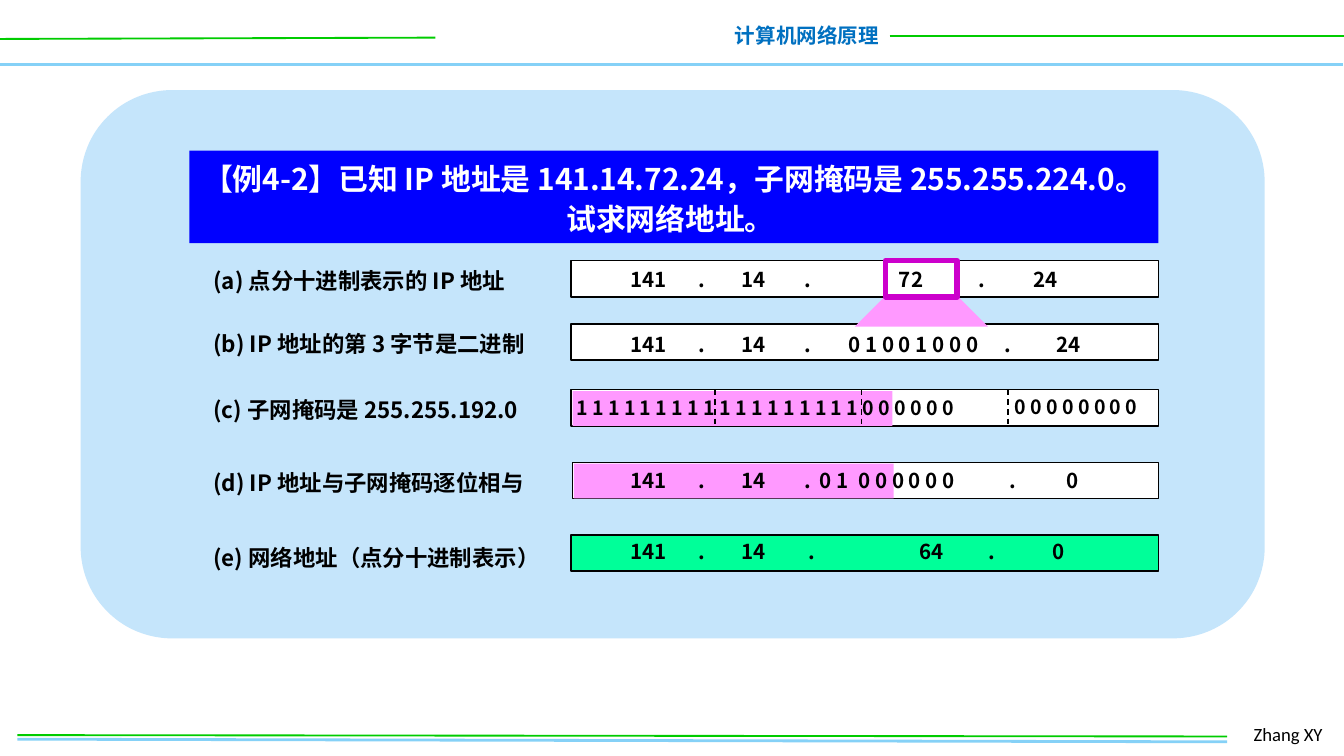
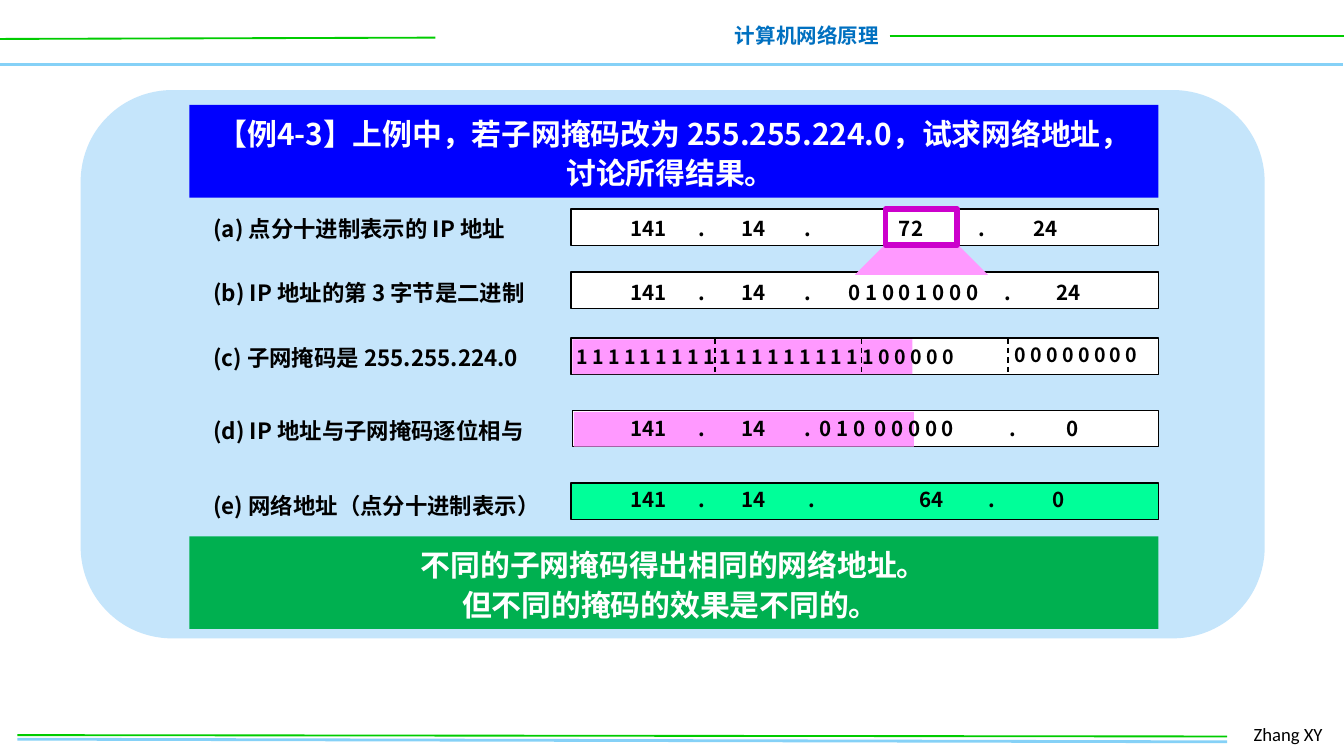
from dataclasses import dataclass
from typing import NamedTuple

from lxml.etree import SubElement
from pptx import Presentation
from pptx.dml.color import RGBColor
from pptx.enum.dml import MSO_LINE_DASH_STYLE as Dash
from pptx.enum.shapes import MSO_CONNECTOR as Conn, MSO_SHAPE as Shape
from pptx.enum.text import MSO_ANCHOR as Anchor, PP_ALIGN as Align
from pptx.oxml.ns import qn
from pptx.util import Inches, Pt

# Grid: 100 columns by 56.25 rows of square cells
CELL = Inches(0.1)
COLS, ROWS = 100, 56.25


def cell(n: float) -> int:
    return round(n * CELL)


@dataclass(frozen=True)
class Theme:
    sans: str = "Noto Sans CJK SC"
    latin: str = "Calibri"
    black: str = "000000"
    white: str = "FFFFFF"
    sky: str = "85D1F7"
    green: str = "00CC00"
    title: str = "0070C0"
    panel: str = "C5E5FB"
    question: str = "0000FF"
    answer: str = "00B050"
    pink: str = "FF99FF"
    mint: str = "00FF99"
    frame: str = "CC00CC"
    banner_size: float = 16
    label_size: float = 12
    body_size: float = 11
    bit_size: float = 10.5
    footer_size: float = 10
    hairline: float = 0.75


T = Theme()


class Box(NamedTuple):
    x: float
    y: float
    w: float
    h: float


class Rule(NamedTuple):
    x1: float
    y1: float
    x2: float
    y2: float
    color: str
    width: float


class Row(NamedTuple):
    """One row of the worked example; y counts from the top of row (a)."""
    bar: Box
    fill: str
    label: str
    label_y: float
    label_w: float


class Field(NamedTuple):
    """Text in a row, with tab stops counted from its left edge."""
    x: float
    y: float
    w: float
    text: str
    tabs: tuple[float, ...] = ()
    size: float = T.body_size


@dataclass(frozen=True)
class Example:
    question: str
    question_y: float
    top: float            # top of row (a)
    mask: str
    mask_label_w: float
    mask_bits: str
    shade_w: float        # width of the network part
    masked: str
    masked_tab: float
    conclusion: tuple[str, ...] = ()


RULES = (
    Rule(-0.1, 4.8, 99.9, 4.8, T.sky, 2),
    Rule(0, 2.9, 32.4, 2.8, T.green, 1),
    Rule(66.2, 2.7, 100.1, 2.7, T.green, 1),
    Rule(1.3, 55, 91.3, 55.2, T.sky, 1.5),
    Rule(1.3, 54.7, 91.3, 54.8, T.green, 1),
)
BAR_H = 2.7
LABEL_X = 14.9
BANNER_X, BANNER_W, BANNER_H = 14.1, 72.1, 6.9
PREFIX, PREFIX_TABS = "141\t.\t14\t.", (5.1, 8.3, 13)

EXAMPLES = (
    Example("【例4-2】已知 IP 地址是 141.14.72.24，子网掩码是 255.255.224.0。试求网络地址。 ",
            11.2, 19.4, "255.255.192.0", 26.8, " ".join("1" * 18 + "0" * 6),
            23.8, "0 1\t0 0 0 0 0 0", 17),
    Example("【例4-3】上例中，若子网掩码改为 255.255.224.0，试求网络地址，讨论所得结果。 ",
            7.8, 15.55, "255.255.224.0", 25.4, " ".join("1" * 19 + "0" * 5),
            25.3, "0 1 0\t0 0 0 0 0", 18.2,
            ("不同的子网掩码得出相同的网络地址。", "但不同的掩码的效果是不同的。 ")),
)


def write(tf, *lines: str, size: float = T.body_size, color: str = T.black,
          font: str = T.sans, bold: bool = True, align=Align.LEFT,
          spacing: float | None = None, tabs: tuple[float, ...] = (),
          wrap: bool = True, anchor=Anchor.TOP) -> None:
    """Fill a text frame, one paragraph a line."""
    tf.word_wrap = wrap
    tf.vertical_anchor = anchor
    for i, line in enumerate(lines):
        p = tf.add_paragraph() if i else tf.paragraphs[0]
        p.alignment = align
        if spacing:
            p.line_spacing = spacing
        if tabs:
            stops = SubElement(p._p.get_or_add_pPr(), qn("a:tabLst"))
            for stop in tabs:
                SubElement(stops, qn("a:tab"), pos=str(cell(stop)), algn="l")
        r = p.add_run()
        r.text = line
        r.font.size, r.font.bold, r.font.name = Pt(size), bold, font
        r.font.color.rgb = RGBColor.from_string(color)
        SubElement(r._r.get_or_add_rPr(), qn("a:ea"), typeface=font)


def add_text(shapes, box: Box, *lines: str, **fmt) -> None:
    write(shapes.add_textbox(*map(cell, box)).text_frame, *lines, **fmt)


def paint(sp, fill: str | None, line: str | None = None, width: float = T.hairline) -> None:
    sp.shadow.inherit = False
    if fill:
        sp.fill.solid()
        sp.fill.fore_color.rgb = RGBColor.from_string(fill)
    else:
        sp.fill.background()
    if line:
        sp.line.color.rgb = RGBColor.from_string(line)
        sp.line.width = Pt(width)
    else:
        sp.line.fill.background()


def add_box(shapes, box: Box, fill: str | None, line: str | None = None,
            width: float = T.hairline, kind=Shape.RECTANGLE):
    sp = shapes.add_shape(kind, *map(cell, box))
    paint(sp, fill, line, width)
    return sp


def add_rule(shapes, rule: Rule, dashed: bool = False) -> None:
    cx = shapes.add_connector(Conn.STRAIGHT, *map(cell, rule[:4]))
    cx.line.color.rgb = RGBColor.from_string(rule.color)
    cx.line.width = Pt(rule.width)
    if dashed:
        cx.line.dash_style = Dash.DASH
    SubElement(cx.element.spPr, qn("a:effectLst"))


def add_banner(shapes, y: float, fill: str, *lines: str) -> None:
    sp = add_box(shapes, Box(BANNER_X, y, BANNER_W, BANNER_H), fill)
    write(sp.text_frame, *lines, size=T.banner_size, color=T.white,
          align=Align.CENTER, spacing=1.1, anchor=Anchor.MIDDLE)


def add_furniture(shapes) -> None:
    """Header, footer and panel shared by the slides."""
    for rule in RULES:
        add_rule(shapes, rule)
    add_text(shapes, Box(53.6, 1.2, 12.8, 2.9), "计算机网络原理",
             color=T.title, align=Align.RIGHT, wrap=False)
    add_text(shapes, Box(92.3, 53.3, 7.4, 2.7), "Zhang XY",
             size=T.footer_size, font=T.latin, bold=False)
    add_box(shapes, Box(6, 6.7, 88.1, 40.8), T.panel, kind=Shape.ROUNDED_RECTANGLE)


def add_rows(shapes, ex: Example) -> None:
    """The five address rows with their labels and fields."""
    rows = (
        Row(Box(42.5, 0, 43.7, BAR_H), T.white, "(a) 点分十进制表示的 IP 地址", 0, 25.7),
        Row(Box(42.5, 4.7, 43.7, BAR_H), T.white, "(b) IP 地址的第 3 字节是二进制", 4.7, 27.5),
        Row(Box(42.5, 9.6, 43.7, BAR_H), T.white, f"(c) 子网掩码是 {ex.mask}", 9.6, ex.mask_label_w),
        Row(Box(42.6, 15, 43.6, BAR_H), T.white, "(d) IP 地址与子网掩码逐位相与", 15, 27.1),
        Row(Box(42.5, 20.4, 43.7, BAR_H), T.mint, "(e) 网络地址（点分十进制表示）", 20.6, 28.2),
    )
    fields = (
        Field(45.9, 0, 18.1, PREFIX, PREFIX_TABS),
        Field(64.5, 0, 18.1, "\t72\t.\t24", (1.4, 7.3, 11.4)),
        Field(45.9, 4.8, 18.1, PREFIX, PREFIX_TABS),
        Field(61.8, 4.8, 13.2, " 0 1 0 0 1 0 0 0"),
        Field(73.4, 4.8, 9.4, " .\t24", (4.2,)),
        Field(41.9, 9.6, 35.2, ex.mask_bits, size=T.bit_size),
        Field(74.5, 9.5, 12.8, "0 0 0 0 0 0 0 0", size=T.bit_size),
        Field(45.9, 14.9, 30.7, f"{PREFIX}\t{ex.masked}", (*PREFIX_TABS, 14.1, ex.masked_tab)),
        Field(73.8, 14.9, 8.9, " .\t0", (4.6,)),
        Field(45.9, 20.2, 18.6, PREFIX, (5.1, 8.3, 13.3)),
        Field(67.4, 20.2, 15.3, "64\t.\t0", (5.2, 9.9)),
    )

    def place(box: Box) -> Box:
        return box._replace(y=ex.top + box.y)

    # Bars, then the network part of rows (c) and (d)
    for row in rows:
        add_box(shapes, place(row.bar), row.fill, T.black)
    for row in rows[2:4]:
        x, y = row.bar.x + 0.1, row.bar.y + 0.1
        add_box(shapes, place(Box(x, y, ex.shade_w, BAR_H - 0.1)), T.pink)

    # Beam from the third byte to its bits
    beam = [(cell(x), cell(ex.top + y))
            for x, y in ((65.9, 2.6), (71.2, 2.6), (73.5, 4.9), (63.6, 4.9))]
    builder = shapes.build_freeform(*beam[0])
    builder.add_line_segments(beam[1:], close=True)
    paint(builder.convert_to_shape(), T.pink)

    # Labels and fields
    for row in rows:
        add_text(shapes, place(Box(LABEL_X, row.label_y, row.label_w, 3.2)),
                 row.label, size=T.label_size)
    for f in fields:
        add_text(shapes, place(Box(f.x, f.y, f.w, 2.9)), f.text, size=f.size, tabs=f.tabs)

    # Byte dividers of the mask and frame of the third byte
    mask_y = ex.top + rows[2].bar.y
    for x in (53.2, 64.1, 75):
        add_rule(shapes, Rule(x, mask_y, x, mask_y + BAR_H, T.black, T.hairline), dashed=True)
    add_box(shapes, place(Box(65.9, 0, 5.3, BAR_H)), None, T.frame, 3)


def main() -> None:
    prs = Presentation()
    prs.slide_width, prs.slide_height = cell(COLS), cell(ROWS)
    for ex in EXAMPLES:
        s = prs.slides.add_slide(prs.slide_layouts[6])
        add_furniture(s.shapes)
        if ex.conclusion:
            add_banner(s.shapes, 39.9, T.answer, *ex.conclusion)
        add_rows(s.shapes.add_group_shape().shapes, ex)
        add_banner(s.shapes, ex.question_y, T.question, ex.question)
    prs.save("out.pptx")


if __name__ == "__main__":
    main()
